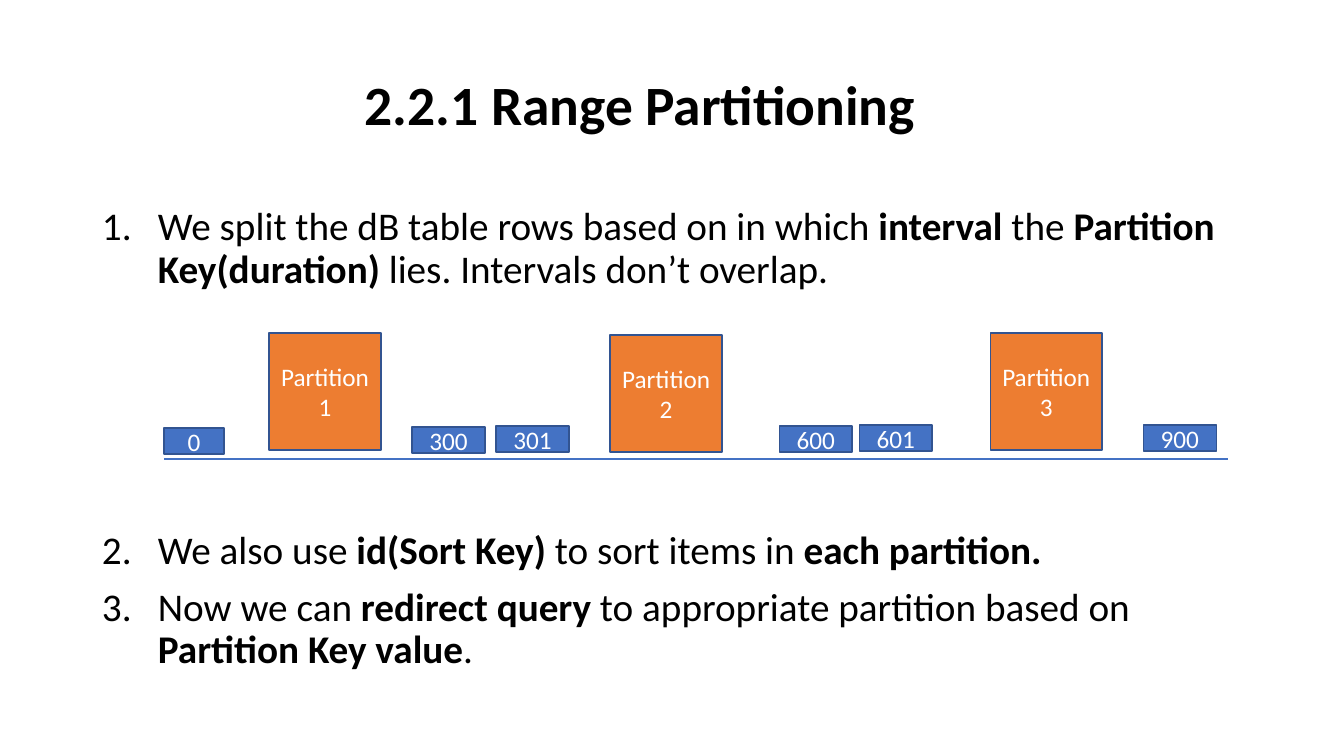
import pptx
import pptx.dml.color
import pptx.enum.shapes
import pptx.enum.text
import pptx.util
from lxml import etree
from pptx.oxml.ns import qn

PX = 914400 / 100.8
FONT = "Calibri"
BLUE, ORANGE, EDGE = "4472C4", "ED7D31", "325491"
BLACK, WHITE = "000000", "FFFFFF"
INDENT = 56

INTERVAL_RULE = [
    "We split the dB table rows based on in which *interval* the "
    "*Partition Key(duration)* lies. Intervals don’t overlap.",
]
QUERY_RULES = [
    "We also use *id(Sort Key)* to sort items in *each partition.*",
    "Now we can *redirect query *to appropriate partition based on "
    "*Partition Key value*.",
]
# label, left, top, width
BOUNDS = [
    ("0", 164, 428, 60),
    ("300", 412, 427, 73),
    ("301", 496, 426, 73),
    ("600", 779, 426, 73),
    ("601", 859, 425, 73),
    ("900", 1143, 425, 73),
]
# label, left, top
PARTITIONS = [
    ("Partition 1", 269, 333),
    ("Partition 2", 610, 335),
    ("Partition 3", 990, 333),
]


def px(*lengths):
    return [pptx.util.Emu(round(n * PX)) for n in lengths]


def rgb(value):
    return pptx.dml.color.RGBColor.from_string(value)


def style_run(r, size, color, bold=False):
    r.font.name = FONT
    r.font.size = pptx.util.Pt(size)
    r.font.color.rgb = rgb(color)
    r.font.bold = bold


def add_text_frame(s, x, y, w, h):
    tf = s.shapes.add_textbox(*px(x, y, w, h)).text_frame
    tf.word_wrap = True
    return tf


def add_title(s, text, x, y, w, h):
    tf = add_text_frame(s, x, y, w, h)
    tf.vertical_anchor = pptx.enum.text.MSO_ANCHOR.MIDDLE
    tf.text = text
    p = tf.paragraphs[0]
    p.alignment = pptx.enum.text.PP_ALIGN.CENTER
    p.line_spacing = 0.9
    style_run(p.runs[0], 39.6, BLACK, bold=True)


def add_numbered_list(s, items, start, x, y, w, h):
    """Number items from start; text between asterisks is bold."""
    tf = add_text_frame(s, x, y, w, h)
    for i, item in enumerate(items):
        p = tf.add_paragraph() if i else tf.paragraphs[0]
        p.line_spacing = 0.9
        p.space_before = pptx.util.Pt(10 if i else 0)
        indent = px(INDENT)[0]
        pPr = p._p.get_or_add_pPr()
        pPr.set("marL", str(indent))
        pPr.set("indent", str(-indent))
        etree.SubElement(pPr, qn("a:buFont"), typeface="+mj-lt")
        etree.SubElement(pPr, qn("a:buAutoNum"), type="arabicPeriod",
                         startAt=str(start))
        for j, part in enumerate(item.split("*")):
            if part:
                r = p.add_run()
                r.text = part
                style_run(r, 28, BLACK, bold=j % 2 == 1)


def add_box(s, label, fill, x, y, w, h):
    sp = s.shapes.add_shape(pptx.enum.shapes.MSO_SHAPE.RECTANGLE,
                            *px(x, y, w, h))
    sp.shadow.inherit = False
    sp.fill.solid()
    sp.fill.fore_color.rgb = rgb(fill)
    sp.line.color.rgb = rgb(EDGE)
    sp.line.width = pptx.util.Pt(1)
    tf = sp.text_frame
    tf.word_wrap = True
    tf.vertical_anchor = pptx.enum.text.MSO_ANCHOR.MIDDLE
    tf.margin_top = tf.margin_bottom = 0
    tf.text = label
    p = tf.paragraphs[0]
    p.alignment = pptx.enum.text.PP_ALIGN.CENTER
    style_run(p.runs[0], 18, WHITE)


def add_axis(s, x1, x2, y):
    line = s.shapes.add_connector(pptx.enum.shapes.MSO_CONNECTOR.STRAIGHT,
                                  *px(x1, y, x2, y))
    line.line.color.rgb = rgb(BLUE)
    line.line.width = pptx.util.Pt(1.5)
    etree.SubElement(line._element.spPr, qn("a:effectLst"))


def main():
    prs = pptx.Presentation()
    prs.slide_width = pptx.util.Inches(13.33)
    prs.slide_height = pptx.util.Inches(7.5)
    s = prs.slides.add_slide(prs.slide_layouts[6])

    add_title(s, "2.2.1 Range Partitioning", 92, 68, 1096, 80)
    add_numbered_list(s, INTERVAL_RULE, 1, 92, 202, 1159, 100)
    add_numbered_list(s, QUERY_RULES, 2, 92, 526, 1159, 156)
    add_axis(s, 164, 1228, 459)
    for label, x, y, w in BOUNDS:
        add_box(s, label, BLUE, x, y, w, 26)
    for label, x, y in PARTITIONS:
        add_box(s, label, ORANGE, x, y, 112, 117)

    prs.save("out.pptx")


if __name__ == "__main__":
    main()
